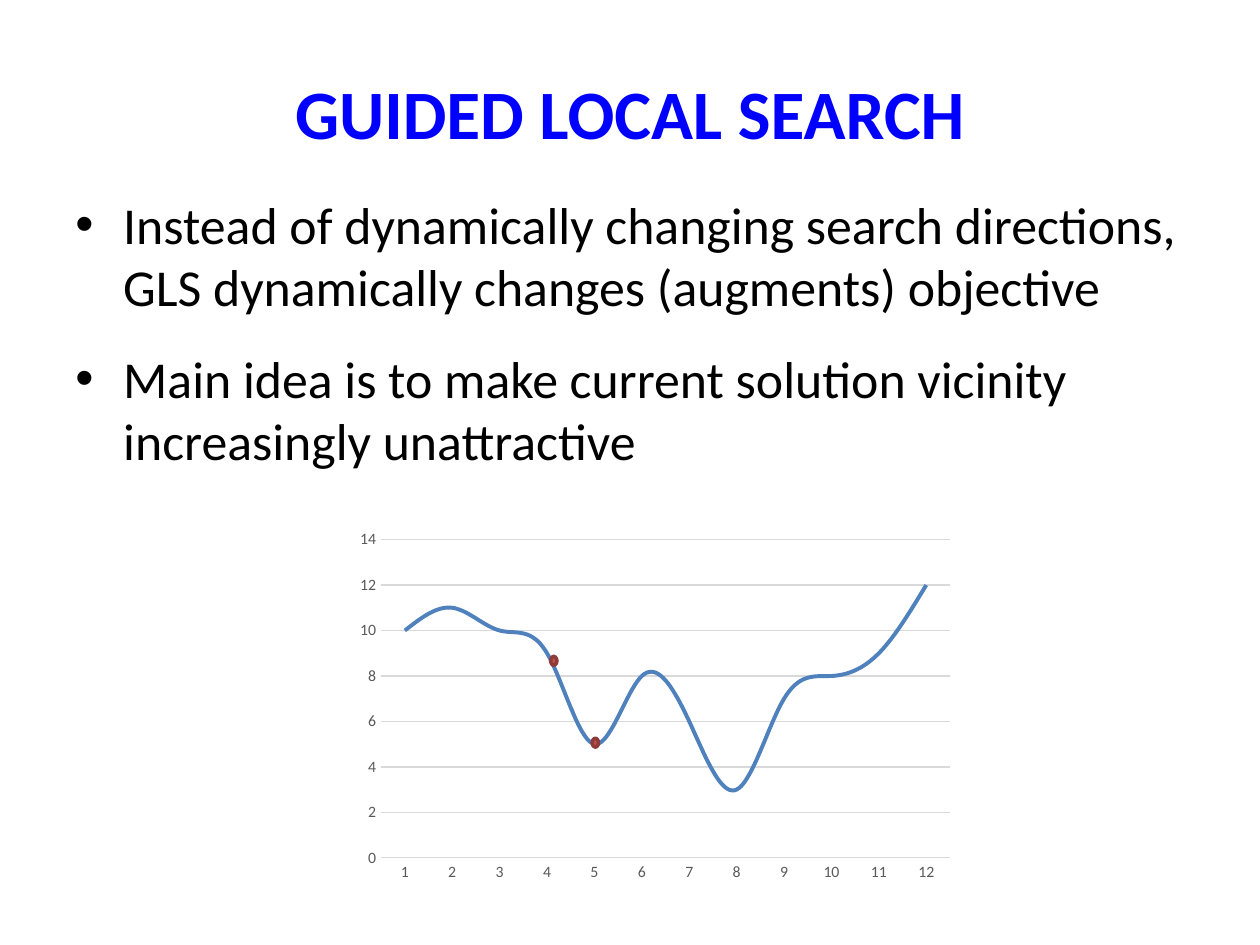
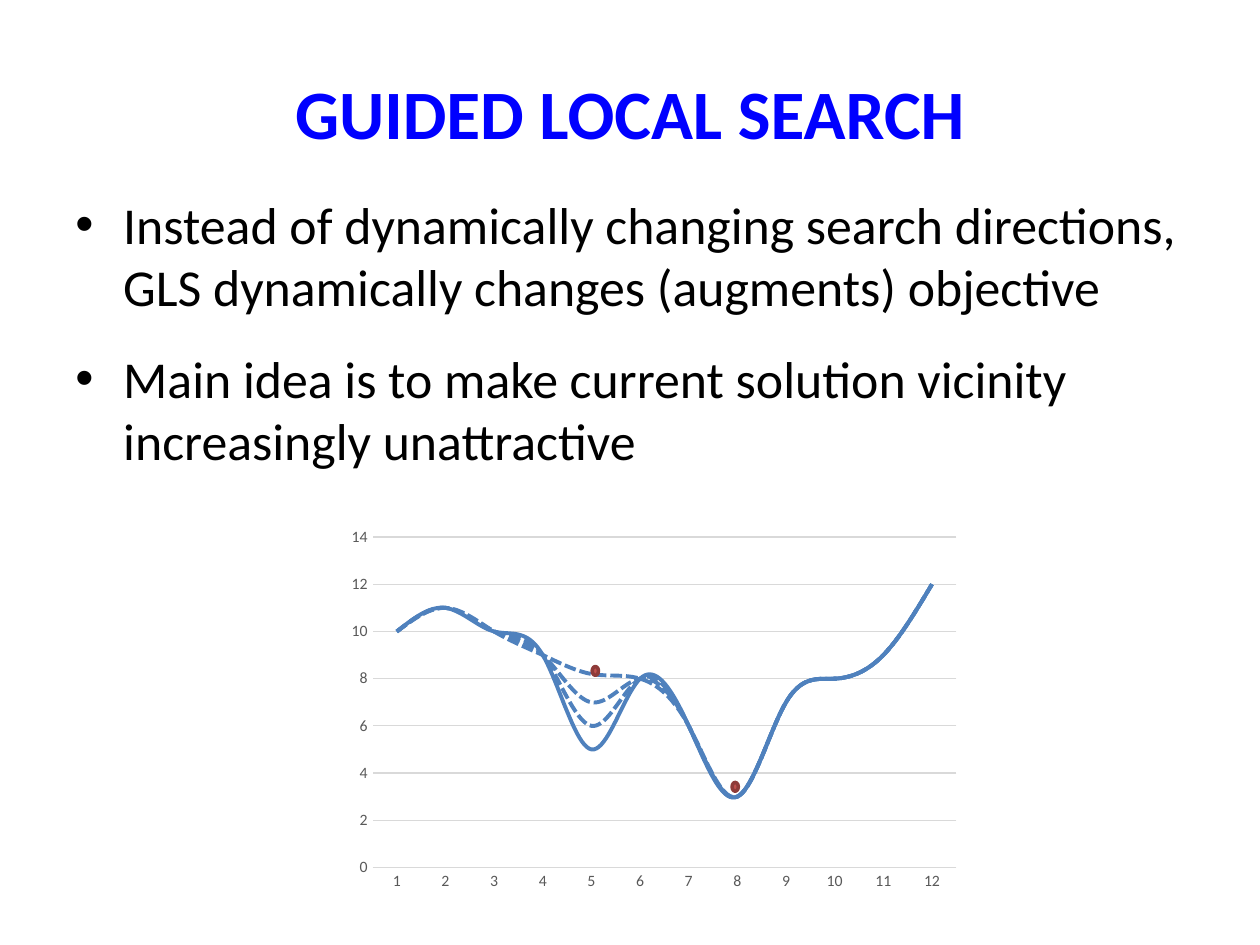
"""Builds two slides on guided local search with python-pptx."""
from lxml import etree
from pptx import Presentation
from pptx.chart.data import CategoryChartData
from pptx.dml.color import RGBColor
from pptx.enum import chart as ch, dml, shapes, text
from pptx.oxml import parse_xml
from pptx.oxml.ns import nsdecls, qn
from pptx.util import Inches, Pt

FONT = "Calibri"
BLUE, BLACK, CURVE = "0000FF", "000000", "4F81BD"
DOT, DOT_EDGE, GRID, LABEL = "C0504D", "8E3B39", "D9D9D9", "595959"

TITLE = "GUIDED LOCAL SEARCH"
BULLETS = [
    "Instead of dynamically changing search directions, GLS dynamically changes (augments) objective",
    "Main idea is to make current solution vicinity increasingly unattractive",
]
OBJECTIVE = [10, 11, 10, 9, 5, 8, 6, 3, 7, 8, 9, 12]
AUGMENTED_POINT = 4
SLIDES = [
    {"minima": [5], "dots": [(4.7, 5.86), (4.37, 5.21)],
     "plot": {"x": 0.067, "y": 0.051, "w": 0.903, "h": 0.842}},
    {"minima": [5, 6, 7, 8.2], "dots": [(4.7, 5.29), (5.81, 6.21)], "plot": None},
]


def color(value):
    return RGBColor.from_string(value)


def style_font(font, size, value, bold=False):
    font.name, font.size, font.bold = FONT, Pt(size), bold
    font.color.rgb = color(value)


def style_line(line, value, width):
    line.color.rgb = color(value)
    line.width = Pt(width)


def add_text(s, box, lines, size, value, bold=False):
    tf = s.shapes.add_textbox(*map(Inches, box)).text_frame
    tf.word_wrap = True
    tf.text = "\n".join(lines)
    for p in tf.paragraphs:
        style_font(p.runs[0].font, size, value, bold)
    return tf


def add_title(s):
    tf = add_text(s, (0.5, 0.5, 9, 0.78), [TITLE], 39.6, BLUE, True)
    tf.vertical_anchor = text.MSO_ANCHOR.MIDDLE
    tf.paragraphs[0].alignment = text.PP_ALIGN.CENTER


def add_bullets(s):
    tf = add_text(s, (0.5, 1.48, 9.5, 2.53), BULLETS, 29.6, BLACK)
    for i, p in enumerate(tf.paragraphs):
        p.space_before = Pt(17 if i else 0)
        pPr = p._p.get_or_add_pPr()
        pPr.set("marL", str(Inches(0.38)))
        pPr.set("indent", str(-Inches(0.38)))
        etree.SubElement(pPr, qn("a:buFont")).set("typeface", "Arial")
        etree.SubElement(pPr, qn("a:buChar")).set("char", "•")


def set_plot_layout(chart, plot):
    area = chart._chartSpace.find(".//" + qn("c:plotArea"))
    for layout in area.findall(qn("c:layout")):
        area.remove(layout)
    modes = "".join(f'<c:{k}Mode val="edge"/>' for k in "xy")
    sizes = "".join(f'<c:{k} val="{v}"/>' for k, v in plot.items())
    area.insert(0, parse_xml(
        f'<c:layout {nsdecls("c")}><c:manualLayout><c:layoutTarget val="inner"/>'
        f"{modes}{sizes}</c:manualLayout></c:layout>"))


def add_curves(s, minima, plot):
    data = CategoryChartData()
    data.categories = [str(i + 1) for i in range(len(OBJECTIVE))]
    for i, low in enumerate(minima, 1):
        values = list(OBJECTIVE)
        values[AUGMENTED_POINT] = low
        data.add_series(f"Series {i}", values)
    chart = s.shapes.add_chart(ch.XL_CHART_TYPE.LINE, *map(Inches, (2.69, 4.13, 5, 3)), data).chart
    chart.has_title = chart.has_legend = False
    style_font(chart.font, 10, BLACK)
    for axis in (chart.category_axis, chart.value_axis):
        axis.major_tick_mark = axis.minor_tick_mark = ch.XL_TICK_MARK.NONE
        style_font(axis.tick_labels.font, 9, LABEL)
    style_line(chart.category_axis.format.line, GRID, 0.75)
    value_axis = chart.value_axis
    value_axis.minimum_scale, value_axis.maximum_scale, value_axis.major_unit = 0, 14, 2
    value_axis.format.line.fill.background()
    style_line(value_axis.major_gridlines.format.line, GRID, 0.75)
    chart.plots[0].vary_by_categories = False
    for i, series in enumerate(chart.plots[0].series):
        series.smooth = True
        series.marker.style = ch.XL_MARKER_STYLE.NONE
        style_line(series.format.line, CURVE, 2.25)
        if i:
            series.format.line.dash_style = dml.MSO_LINE.SQUARE_DOT
    if plot:
        set_plot_layout(chart, plot)


def add_dot(s, left, top):
    sp = s.shapes.add_shape(shapes.MSO_SHAPE.OVAL, *map(Inches, (left, top, 0.05, 0.07)))
    sp.shadow.inherit = False
    sp.fill.solid()
    sp.fill.fore_color.rgb = color(DOT)
    style_line(sp.line, DOT_EDGE, 2)


def main():
    prs = Presentation()
    prs.slide_width, prs.slide_height = Inches(10), Inches(7.5)
    for content in SLIDES:
        s = prs.slides.add_slide(prs.slide_layouts[6])
        add_title(s)
        add_curves(s, content["minima"], content["plot"])
        for dot in content["dots"]:
            add_dot(s, *dot)
        add_bullets(s)
    prs.save("out.pptx")


if __name__ == "__main__":
    main()
